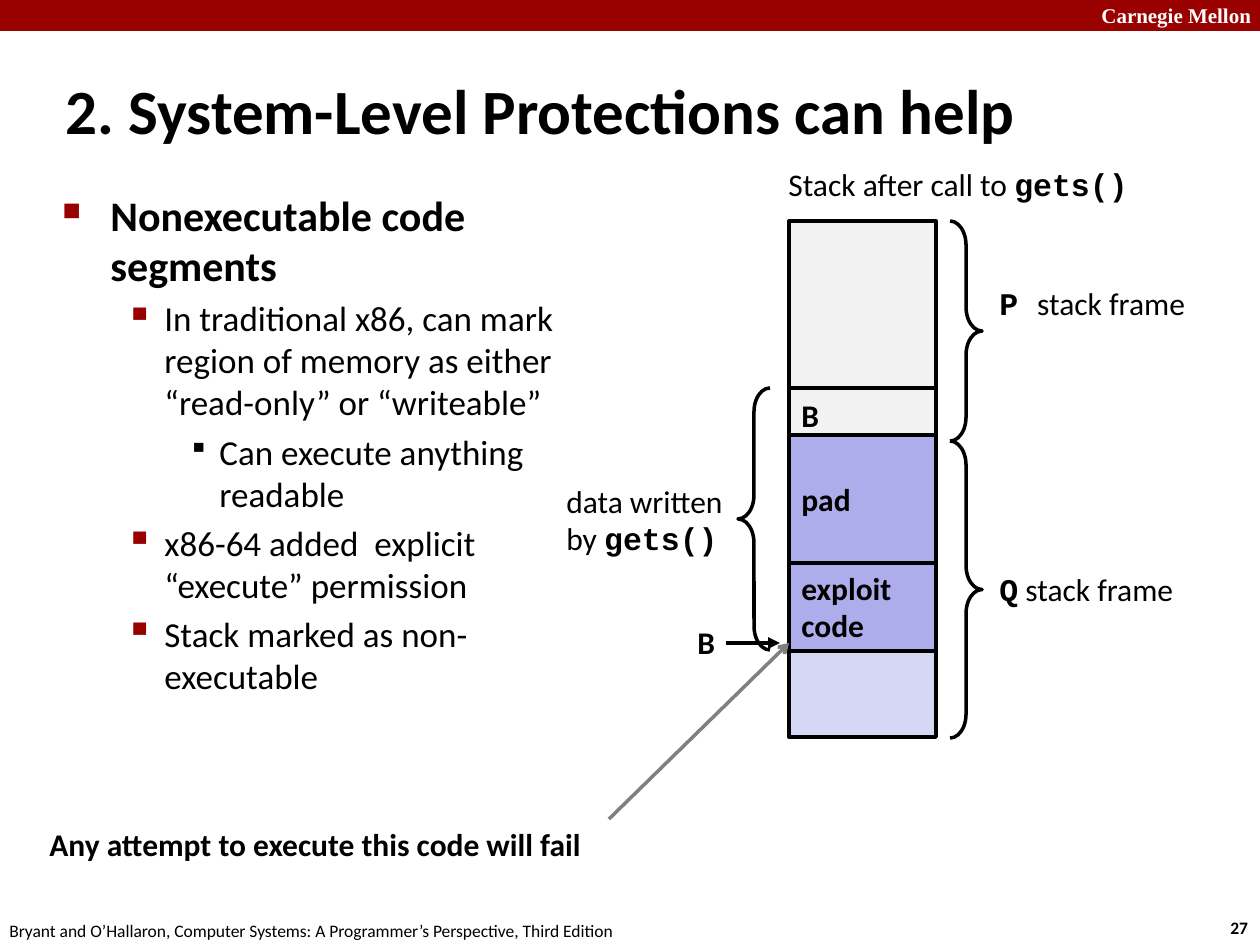
"""Build a slide on nonexecutable code segments with a stack diagram."""
from lxml import etree
from pptx import Presentation
from pptx.dml.color import RGBColor
from pptx.enum import shapes, text
from pptx.oxml import ns
from pptx.util import Pt

PX = 914400 / 126
COLORS = {
    "black": "000000", "white": "FFFFFF", "red": "990000", "gray": "808080",
    "caller": "F2F2F2", "written": "ADADEB", "callee": "D6D6F5",
}
SANS, MONO, SERIF = "Calibri", "Courier New", "Times New Roman"


def px(*lengths):
    return [round(length * PX) for length in lengths]


def write(frame, lines, size, color="black", anchor="TOP", wrap=False):
    frame.word_wrap = wrap
    frame.vertical_anchor = text.MSO_ANCHOR[anchor]
    for row, pieces in enumerate(lines):
        paragraph = frame.paragraphs[0] if row == 0 else frame.add_paragraph()
        paragraph.alignment = text.PP_ALIGN.LEFT
        for words, face, bold in pieces:
            run = paragraph.add_run()
            run.text = words
            run.font.name, run.font.bold, run.font.size = face, bold, Pt(size)
            run.font.color.rgb = RGBColor.from_string(COLORS[color])


deck = Presentation()
deck.slide_width, deck.slide_height = px(1260, 945)
slide = deck.slides.add_slide(deck.slide_layouts[6])
canvas = slide.shapes

regions = [
    ((0, 0, 1260, 31), "red", False, []),
    ((789, 388, 147, 53), "caller", True, ["B"]),
    ((789, 221, 147, 167), "caller", True, []),
    ((789, 651, 147, 86), "callee", True, []),
    ((789, 562, 147, 89), "written", True, ["exploit", "code"]),
    ((789, 435, 147, 128), "written", True, ["pad"]),
]
for bounds, fill, outlined, words in regions:
    region = canvas.add_shape(shapes.MSO_SHAPE.RECTANGLE, *px(*bounds))
    region.shadow.inherit = False
    region.fill.solid()
    region.fill.fore_color.rgb = RGBColor.from_string(COLORS[fill])
    if outlined:
        region.line.color.rgb = RGBColor.from_string(COLORS["black"])
        region.line.width = Pt(2.25)
    else:
        region.line.fill.background()
    if words:
        write(region.text_frame, [[(word, SANS, True)] for word in words], 18,
              anchor="MIDDLE", wrap=True)

labels = [
    ((1089, -4, 180, 38), [[("Carnegie Mellon", SERIF, True)]], 12, "white", "TOP", True),
    ((1218, 911, 47, 34), [[("27", SANS, True)]], 10, "black", "TOP", False),
    ((-3, 914, 640, 34),
     [[("Bryant and O’Hallaron, Computer Systems: A Programmer’s Perspective, Third Edition",
        SANS, False)]], 10, "black", "TOP", False),
    ((53, 73, 1113, 73), [[("2. System-Level Protections can help", SANS, True)]],
     36, "black", "MIDDLE", True),
    ((776, 159, 369, 50),
     [[("Stack after call to ", SANS, False), ("gets()", MONO, True)]],
     18, "black", "TOP", False),
    ((987, 278, 214, 50), [[("P ", MONO, True), ("stack frame", SANS, False)]],
     18, "black", "MIDDLE", False),
    ((987, 564, 203, 50), [[("Q", MONO, True), (" stack frame", SANS, False)]],
     18, "black", "MIDDLE", False),
    ((685, 617, 43, 50), [[("B", SANS, True)]], 18, "black", "MIDDLE", False),
    ((554, 475, 189, 89),
     [[("data written", SANS, False)], [("by ", SANS, False), ("gets()", MONO, True)]],
     18, "black", "MIDDLE", True),
    ((37, 819, 567, 50), [[("Any attempt to execute this code will fail", SANS, True)]],
     18, "black", "TOP", False),
]
for bounds, lines, size, color, anchor, wrap in labels:
    label = canvas.add_textbox(*px(*bounds))
    write(label.text_frame, lines, size, color, anchor, wrap)

levels = [
    {"margin": 48, "hang": 48, "mark": "■", "color": "red", "scale": 60, "size": 24, "gap": 0},
    {"margin": 102, "hang": 39, "mark": "▪", "color": "red", "scale": 110, "size": 20, "gap": 4},
    {"margin": 157, "hang": 31, "mark": "▪", "color": "black", "scale": 80, "size": 20, "gap": 4},
]
points = [
    (0, "Nonexecutable code segments"),
    (1, "In traditional x86, can mark region of memory as either “read-only” or “writeable”"),
    (2, "Can execute anything readable"),
    (1, "x86-64 added  explicit “execute” permission"),
    (1, "Stack marked as non-executable"),
]
body = canvas.add_textbox(*px(50, 183, 558, 719)).text_frame
body.word_wrap = True
for row, (depth, words) in enumerate(points):
    level = levels[depth]
    point = body.paragraphs[0] if row == 0 else body.add_paragraph()
    point.text = words
    point.level = depth
    point.space_before = Pt(level["gap"])
    props = point._p.get_or_add_pPr()
    margin, hang = px(level["margin"], level["hang"])
    props.set("marL", str(margin))
    props.set("indent", str(-hang))
    tint = etree.SubElement(props, ns.qn("a:buClr"))
    etree.SubElement(tint, ns.qn("a:srgbClr"), val=COLORS[level["color"]])
    etree.SubElement(props, ns.qn("a:buSzPct"), val=str(level["scale"] * 1000))
    etree.SubElement(props, ns.qn("a:buChar"), char=level["mark"])
    for run in point.runs:
        run.font.name, run.font.size = SANS, Pt(level["size"])
        run.font.bold = depth == 0
        run.font.color.rgb = RGBColor.from_string(COLORS["black"])

braces = [
    ((950, 221, 32, 220), 180),
    ((950, 441, 32, 297), 180),
    ((738, 388, 32, 262), 0),
]
for bounds, turn in braces:
    brace = canvas.add_shape(shapes.MSO_SHAPE.LEFT_BRACE, *px(*bounds))
    brace.shadow.inherit = False
    brace.rotation = turn
    brace.adjustments[0], brace.adjustments[1] = 0.75, 0.5
    brace.fill.background()
    brace.line.color.rgb = RGBColor.from_string(COLORS["black"])
    brace.line.width = Pt(2)

arrows = [
    ((726, 643, 780, 643), "black", 2.25, "triangle"),
    ((609, 819, 789, 643), "gray", 2, "arrow"),
]
for ends, color, weight, head in arrows:
    arrow = canvas.add_connector(shapes.MSO_CONNECTOR.STRAIGHT, *px(*ends))
    arrow.line.color.rgb = RGBColor.from_string(COLORS[color])
    arrow.line.width = Pt(weight)
    etree.SubElement(arrow.line._get_or_add_ln(), ns.qn("a:tailEnd"), type=head)
    etree.SubElement(arrow._element.spPr, ns.qn("a:effectLst"))

deck.save("out.pptx")
